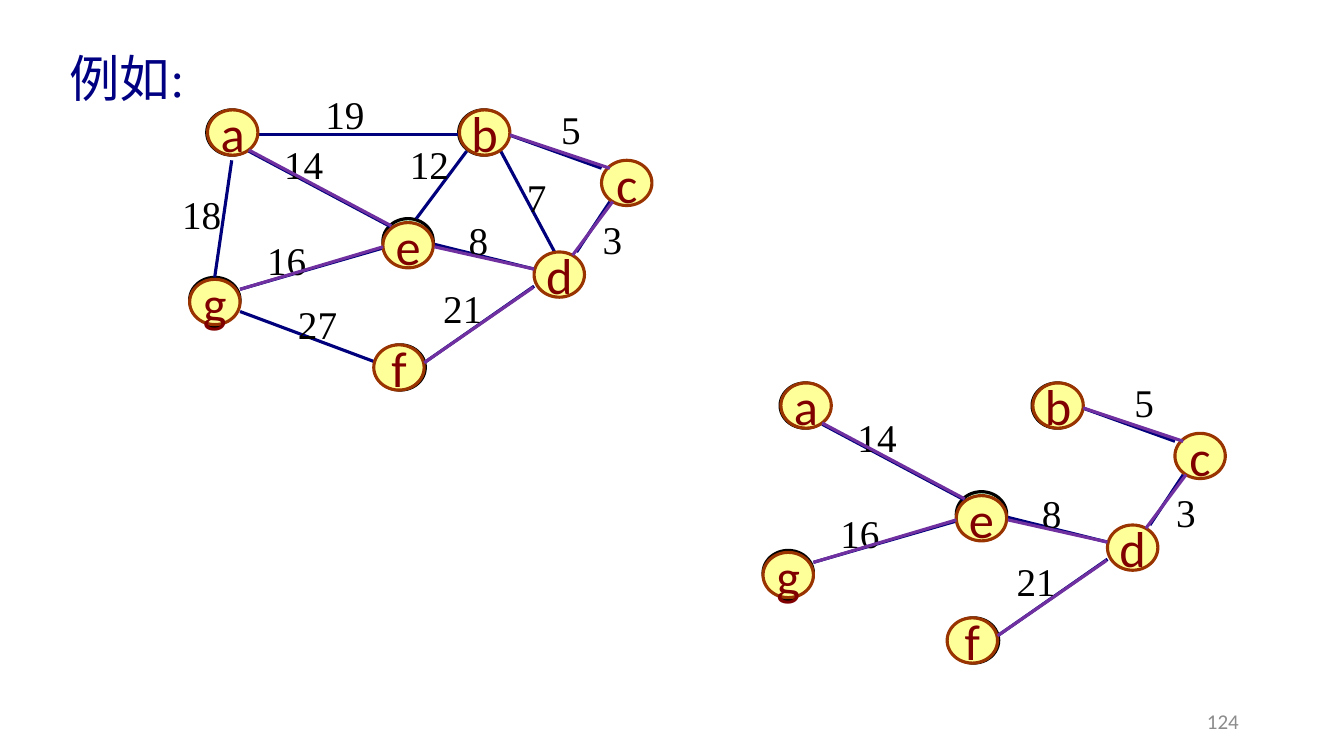
from lxml import etree
from pptx import Presentation
from pptx.dml.color import RGBColor
from pptx.enum.shapes import MSO_CONNECTOR, MSO_SHAPE
from pptx.enum.text import MSO_ANCHOR, MSO_AUTO_SIZE, PP_ALIGN
from pptx.oxml.ns import qn
from pptx.util import Cm, Pt

ELLIPSE = MSO_SHAPE.OVAL
STRAIGHT = MSO_CONNECTOR.STRAIGHT
LEFT, CENTER, RIGHT = PP_ALIGN.LEFT, PP_ALIGN.CENTER, PP_ALIGN.RIGHT
TOP, MIDDLE = MSO_ANCHOR.TOP, MSO_ANCHOR.MIDDLE
FIT_SHAPE = MSO_AUTO_SIZE.SHAPE_TO_FIT_TEXT
SERIF, SANS = "Times New Roman", "Calibri"
TITLE_ONLY = 5

COLORS = {
    "black": "000000", "green": "CCFFCC", "yellow": "FFFF99", "brown": "993300",
    "maroon": "800000", "navy": "00007D", "purple": "7030A0", "title": "000082",
    "gray": "8C8C8C",
}
PLAIN_NODE = {"fill": "green", "line": "black", "color": "black"}
VISITED_NODE = {"fill": "yellow", "line": "brown", "color": "maroon"}

PLAIN_NODES = {
    "a": (5.21, 2.77), "b": (11.56, 2.77), "e": (9.65, 5.51),
    "g": (4.78, 6.99), "f": (9.45, 8.69),
}
VISITED_NODES = {
    "a": (5.23, 2.77), "e": (9.65, 5.61), "d": (13.46, 6.35), "c": (15.16, 4.04),
    "b": (11.58, 2.77), "g": (4.78, 7.04), "f": (9.42, 8.69),
}
EDGES = {
    "ab": (6.48, 3.4, 11.56, 3.4), "ae": (6.27, 3.81, 9.86, 5.72),
    "be": (11.76, 3.81, 10.49, 5.51), "ag": (5.84, 4.04, 5.41, 6.99),
    "ge": (6.05, 7.29, 9.65, 6.25), "ed": (10.92, 6.15, 13.46, 6.78),
    "bc": (12.83, 3.4, 15.16, 4.24), "cd": (15.37, 5.08, 14.53, 6.35),
    "bd": (12.62, 3.81, 14.1, 6.58), "gf": (6.05, 7.85, 9.45, 9.12),
    "df": (13.46, 7.21, 10.72, 9.12),
}
TREE_EDGES = {
    "ae": (6.27, 3.78, 9.86, 5.69), "ed": (10.95, 6.22, 13.46, 6.78),
    "cd": (14.43, 6.43, 15.44, 5.08), "bc": (15.37, 4.24, 12.85, 3.4),
    "ge": (6.05, 7.29, 9.65, 6.22), "df": (13.44, 7.24, 10.69, 9.14),
}
WEIGHTS = {
    "ab": ("19", 7.95, 2.16), "bc": ("5", 13.89, 2.54), "ae": ("14", 6.91, 3.4),
    "ag": ("18", 4.34, 4.67), "gf": ("27", 7.26, 7.44), "ge": ("16", 6.48, 5.84),
    "ed": ("8", 11.56, 5.33), "df": ("21", 10.92, 7.04), "cd": ("3", 14.94, 5.31),
    "be": ("12", 10.08, 3.4), "bd": ("7", 13.03, 4.24),
}
TREE_OFFSET = (14.45, 6.88)


def rgb(name):
    return RGBColor.from_string(COLORS[name])


def write_text(shape, text, size=28, font=SERIF, color="black", align=LEFT, anchor=TOP):
    frame = shape.text_frame
    frame.word_wrap = False
    frame.vertical_anchor = anchor
    frame.text = text
    paragraph = frame.paragraphs[0]
    paragraph.alignment = align
    paragraph.font.size = Pt(size)
    paragraph.font.name = font
    paragraph.font.color.rgb = rgb(color)
    return frame


class GraphSlide:
    """Draws weighted graphs in one style on the current slide."""

    node_width, node_height, line_width = 1.27, 1.14, 2.25

    def __init__(self, presentation):
        self.slide = presentation.slides.add_slide(presentation.slide_layouts[TITLE_ONLY])
        self.shapes = self.slide.shapes
        self.offset = (0, 0)

    def point(self, x, y):
        return Cm(x + self.offset[0]), Cm(y + self.offset[1])

    def title(self, text):
        title = self.slide.shapes.title
        title.left, title.top, title.width, title.height = Cm(1.5), Cm(1.07), Cm(3.43), Cm(1.8)
        frame = write_text(title, text, size=36, color="title")
        frame.auto_size = FIT_SHAPE

    def page_number(self, text):
        box = self.slide.shapes.add_textbox(Cm(23.93), Cm(17.65), Cm(7.62), Cm(1.02))
        frame = write_text(box, text, size=15, font=SANS, color="gray", align=RIGHT, anchor=MIDDLE)
        frame.word_wrap = True
        frame.margin_left = frame.margin_right = Cm(0.33)
        frame.margin_top = frame.margin_bottom = Cm(0.15)

    def node(self, name, x, y, fill, line, color):
        shape = self.shapes.add_shape(
            ELLIPSE, *self.point(x, y), Cm(self.node_width), Cm(self.node_height))
        shape.shadow.inherit = False
        shape.fill.solid()
        shape.fill.fore_color.rgb = rgb(fill)
        shape.line.color.rgb = rgb(line)
        shape.line.width = Pt(self.line_width)
        write_text(shape, name, size=36, font=SANS, color=color, align=CENTER, anchor=MIDDLE)

    def edge(self, x1, y1, x2, y2, color):
        connector = self.shapes.add_connector(STRAIGHT, *self.point(x1, y1), *self.point(x2, y2))
        connector.line.color.rgb = rgb(color)
        connector.line.width = Pt(self.line_width)
        etree.SubElement(connector._element.spPr, qn("a:effectLst"))

    def weight(self, text, x, y):
        width = 0.52 + 0.49 * len(text)
        box = self.shapes.add_textbox(*self.point(x, y), Cm(width), Cm(1.45))
        write_text(box, text).auto_size = FIT_SHAPE

    def graph(self, edge_names):
        for name, place in PLAIN_NODES.items():
            self.node(name, *place, **PLAIN_NODE)
        for name, ends in EDGES.items():
            if name in edge_names:
                self.edge(*ends, color="navy")
        for name, weight in WEIGHTS.items():
            if name in edge_names:
                self.weight(*weight)
        for name, place in VISITED_NODES.items():
            self.node(name, *place, **VISITED_NODE)
        for ends in TREE_EDGES.values():
            self.edge(*ends, color="purple")

    def spanning_tree(self):
        self.shapes = self.slide.shapes.add_group_shape().shapes
        self.offset = TREE_OFFSET
        self.graph(TREE_EDGES)


def main():
    presentation = Presentation()
    presentation.slide_width, presentation.slide_height = Cm(33.87), Cm(19.05)
    slide = GraphSlide(presentation)
    slide.title("例如:")
    slide.page_number("124")
    slide.graph(EDGES)
    slide.spanning_tree()
    presentation.save("out.pptx")


if __name__ == "__main__":
    main()
